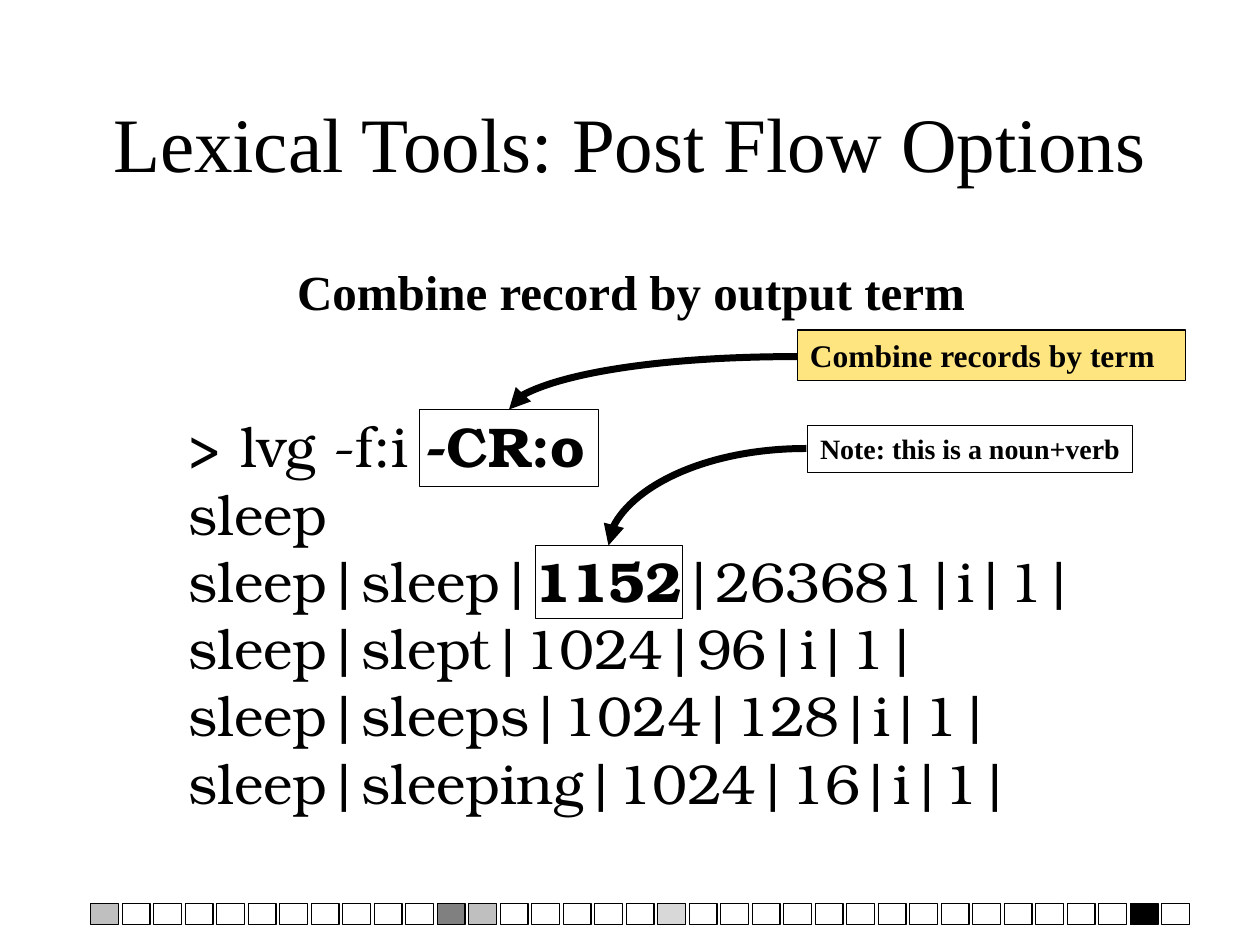
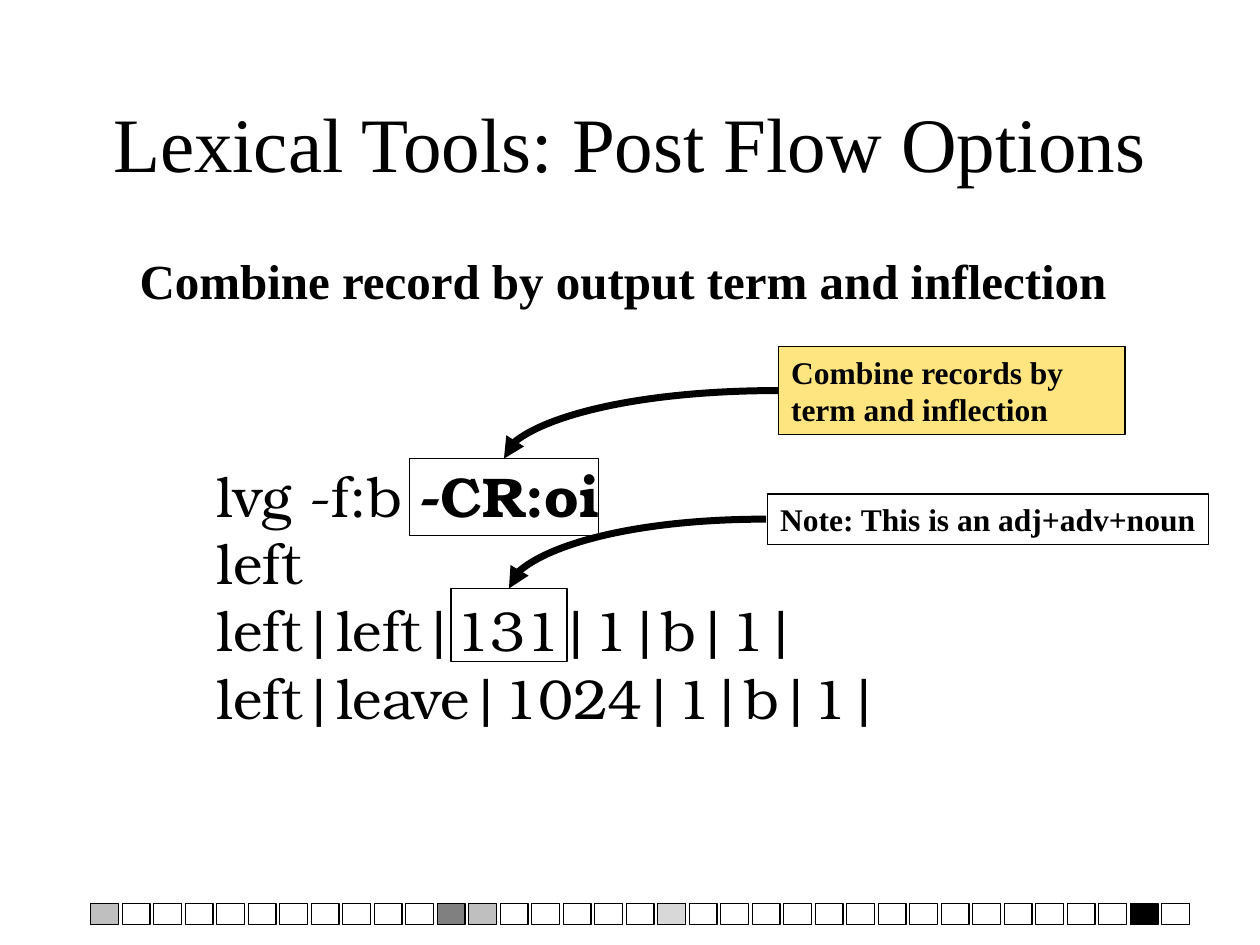
from dataclasses import dataclass
from typing import Optional

from lxml import etree
from pptx import Presentation
from pptx.dml.color import RGBColor
from pptx.enum.shapes import MSO_CONNECTOR, MSO_SHAPE
from pptx.enum.text import MSO_ANCHOR, MSO_AUTO_SIZE, PP_ALIGN
from pptx.oxml.ns import qn
from pptx.util import Pt

RECTANGLE = MSO_SHAPE.RECTANGLE
CURVE = MSO_CONNECTOR.CURVE
TOP, MIDDLE = MSO_ANCHOR.TOP, MSO_ANCHOR.MIDDLE
LEFT, CENTER = PP_ALIGN.LEFT, PP_ALIGN.CENTER
FIT_SHAPE, FIXED = MSO_AUTO_SIZE.SHAPE_TO_FIT_TEXT, MSO_AUTO_SIZE.NONE

EMU_PER_PX = 9144
COLORS = {"ink": "000000", "gray": "808080", "silver": "B2B2B2", "gold": "FFCC00"}
SERIF, CODE = "Times New Roman", "TeX Gyre Bonum"
TITLE = "Lexical Tools: Post Flow Options"
BOLD_MARK = "*"


@dataclass(frozen=True)
class Box:
    left: int
    top: int
    width: int
    height: int

    def emu(self) -> list[int]:
        return [px(n) for n in (self.left, self.top, self.width, self.height)]


@dataclass(frozen=True)
class Fill:
    color: str
    opacity: int = 100


@dataclass(frozen=True)
class TextStyle:
    size: int
    font: str = SERIF
    bold: bool = False
    align: PP_ALIGN = LEFT
    anchor: MSO_ANCHOR = TOP
    wrap: bool = False
    fit: MSO_AUTO_SIZE = FIT_SHAPE


@dataclass(frozen=True)
class Callout:
    label: str
    box: Box
    style: TextStyle
    arrow_start: tuple[int, int]
    arrow_end: tuple[int, int]
    target: Box
    fill: Optional[Fill] = None


@dataclass(frozen=True)
class OptionSlide:
    subtitle: str
    subtitle_box: Box
    listing: list[str]
    listing_box: Box
    callouts: list[Callout]


TITLE_STYLE = TextStyle(44, align=CENTER, anchor=MIDDLE, wrap=True, fit=FIXED)
SUBTITLE_STYLE = TextStyle(28, bold=True)
LISTING_STYLE = TextStyle(32, font=CODE, anchor=MIDDLE)
OPTION_STYLE = TextStyle(18, bold=True, wrap=True)
SHORT_NOTE_STYLE = TextStyle(16, bold=True)
LONG_NOTE_STYLE = TextStyle(18, bold=True, align=CENTER, anchor=MIDDLE)

TITLE_BOX = Box(75, 50, 850, 125)
OPTION_FILL = Fill("gold", 50)
STRIP_CELLS = 35
STRIP_PITCH = 25
STRIP_FILLS = {
    0: Fill("gray", 50),
    11: Fill("gray"),
    12: Fill("gray", 50),
    18: Fill("silver", 50),
    33: Fill("ink"),
}

SLIDES = [
    OptionSlide(
        "Combine record by output term",
        Box(226, 203, 550, 57),
        [
            "> lvg -f:i *-CR:o*",
            "sleep",
            "sleep|sleep|*1152*|263681|i|1|",
            "sleep|slept|1024|96|i|1|",
            "sleep|sleeps|1024|128|i|1|",
            "sleep|sleeping|1024|16|i|1|",
        ],
        Box(140, 322, 725, 330),
        [
            Callout("Combine records by term", Box(633, 262, 308, 40), OPTION_STYLE,
                    (633, 283), (404, 325), Box(333, 325, 142, 61), OPTION_FILL),
            Callout("Note: this is a noun+verb", Box(641, 338, 258, 37), SHORT_NOTE_STYLE,
                    (640, 356), (483, 433), Box(425, 433, 117, 58)),
        ],
    ),
    OptionSlide(
        "Combine record by output term and inflection",
        Box(101, 194, 797, 57),
        [
            "lvg -f:b *-CR:oi*",
            "left",
            "left|left|131|1|b|1|",
            "left|leave|1024|1|b|1|",
        ],
        Box(162, 361, 549, 224),
        [
            Callout("Combine records by term and inflection", Box(618, 275, 275, 70), OPTION_STYLE,
                    (618, 310), (400, 364), Box(325, 364, 150, 61), OPTION_FILL),
            Callout("Note: This is an adj+adv+noun", Box(609, 392, 350, 40), LONG_NOTE_STYLE,
                    (608, 412), (404, 467), Box(358, 467, 92, 58)),
        ],
    ),
]


def px(length: int) -> int:
    return length * EMU_PER_PX


def rgb(name: str) -> RGBColor:
    return RGBColor.from_string(COLORS[name])


def apply_format(item, values: dict) -> None:
    for name, value in values.items():
        setattr(item, name, value)


def write_text(frame, lines: list[str], style: TextStyle) -> None:
    apply_format(frame, {
        "word_wrap": style.wrap,
        "auto_size": style.fit,
        "vertical_anchor": style.anchor,
    })
    for index, line in enumerate(lines):
        paragraph = frame.add_paragraph() if index else frame.paragraphs[0]
        paragraph.alignment = style.align
        for part, words in enumerate(line.split(BOLD_MARK)):
            if words:
                run = paragraph.add_run()
                run.text = words
                apply_format(run.font, {
                    "name": style.font,
                    "size": Pt(style.size),
                    "bold": style.bold or part % 2 == 1,
                })
                run.font.color.rgb = rgb("ink")


def add_text(slide, lines: list[str], box: Box, style: TextStyle) -> None:
    write_text(slide.shapes.add_textbox(*box.emu()).text_frame, lines, style)


def add_frame(slide, box: Box, fill: Optional[Fill] = None):
    frame = slide.shapes.add_shape(RECTANGLE, *box.emu())
    frame.shadow.inherit = False
    frame.line.color.rgb = rgb("ink")
    frame.line.width = Pt(0.75)
    if fill is None:
        frame.fill.background()
        return frame
    frame.fill.solid()
    frame.fill.fore_color.rgb = rgb(fill.color)
    if fill.opacity < 100:
        tint = frame._element.spPr.find(qn("a:solidFill")).find(qn("a:srgbClr"))
        etree.SubElement(tint, qn("a:alpha"), val=str(fill.opacity * 1000))
    return frame


def add_curved_arrow(slide, start: tuple[int, int], end: tuple[int, int]) -> None:
    arrow = slide.shapes.add_connector(CURVE, *(px(n) for n in start + end))
    arrow.line.color.rgb = rgb("ink")
    arrow.line.width = Pt(4)
    properties = arrow._element.spPr
    properties.find(qn("a:prstGeom")).set("prst", "curvedConnector2")
    etree.SubElement(properties.find(qn("a:ln")), qn("a:tailEnd"), type="triangle")
    etree.SubElement(properties, qn("a:effectLst"))


def add_callout(slide, callout: Callout) -> None:
    add_frame(slide, callout.target)
    add_curved_arrow(slide, callout.arrow_start, callout.arrow_end)
    label = add_frame(slide, callout.box, callout.fill)
    write_text(label.text_frame, [callout.label], callout.style)


def add_footer_strip(slide) -> None:
    for index in range(STRIP_CELLS):
        cell = Box(72 + index * STRIP_PITCH, 717, 22, 17)
        add_frame(slide, cell, STRIP_FILLS.get(index))


def add_option_slide(deck, content: OptionSlide) -> None:
    slide = deck.slides.add_slide(deck.slide_layouts[6])
    add_footer_strip(slide)
    add_text(slide, [TITLE], TITLE_BOX, TITLE_STYLE)
    add_text(slide, [content.subtitle], content.subtitle_box, SUBTITLE_STYLE)
    add_text(slide, content.listing, content.listing_box, LISTING_STYLE)
    for callout in content.callouts:
        add_callout(slide, callout)


def main() -> None:
    deck = Presentation()
    apply_format(deck, {"slide_width": px(1000), "slide_height": px(750)})
    for content in SLIDES:
        add_option_slide(deck, content)
    deck.save("out.pptx")


if __name__ == "__main__":
    main()
